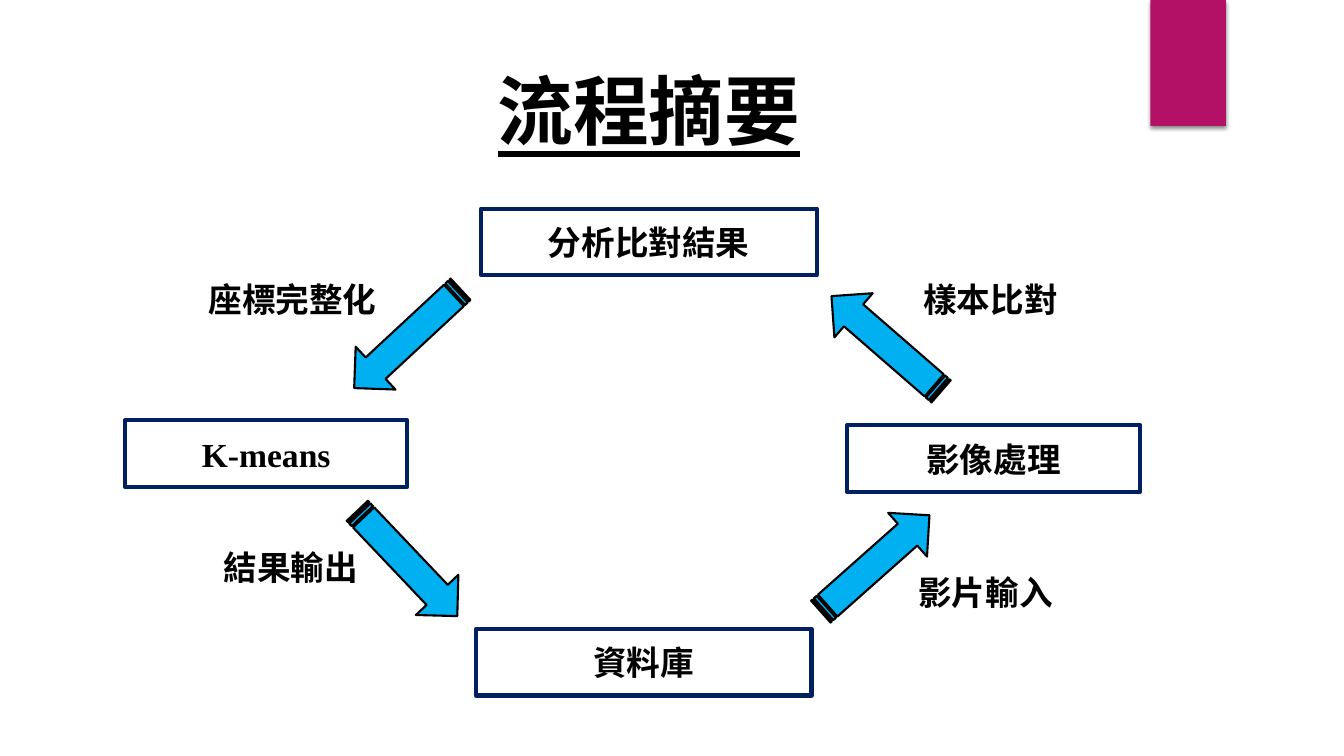
from dataclasses import dataclass

from lxml import etree
from pptx import Presentation
from pptx.dml.color import RGBColor
from pptx.enum.shapes import MSO_SHAPE
from pptx.enum.text import MSO_ANCHOR, PP_ALIGN
from pptx.oxml import parse_xml
from pptx.oxml.ns import nsdecls, qn
from pptx.util import Pt

RECTANGLE = MSO_SHAPE.RECTANGLE
STRIPED_ARROW = MSO_SHAPE.STRIPED_RIGHT_ARROW
MIDDLE = MSO_ANCHOR.MIDDLE
CENTER, LEFT = PP_ALIGN.CENTER, PP_ALIGN.LEFT


@dataclass(frozen=True)
class Theme:
    ribbon: str = "B31166"
    box_fill: str = "FFFFFF"
    box_line: str = "002060"
    arrow_fill: str = "00B0F0"
    ink: str = "000000"
    title_font: str = "TeX Gyre Adventor"
    chinese_font: str = "Noto Sans CJK SC"
    latin_font: str = "Times New Roman"
    title_size: int = 54
    body_size: int = 24
    box_line_width: float = 3
    arrow_line_width: float = 1.5


THEME = Theme()
EMU_PER_PX = 9144
SLIDE_SIZE = (1333, 750)
RIBBON = (1141, 0, 75, 125)
TITLE = ("流程摘要", (433, 58, 421, 101))
BOX_HEIGHT = 66
ARROW_SIZE = (144, 58)
LABEL_HEIGHT = 50

STAGES = [
    ("分析比對結果", 477, 207, 333, THEME.chinese_font),
    ("資料庫", 472, 624, 333, THEME.chinese_font),
    ("影像處理", 840, 422, 291, THEME.chinese_font),
    ("K-means", 124, 417, 280, THEME.latin_font),
]
TRANSITIONS = [
    ("影片輸入", (901, 562, 159), (796, 530), 318.4),
    ("樣本比對", (906, 272, 159), (807, 312), 221),
    ("座標完整化", (197, 272, 190), (332, 307), 137.1),
    ("結果輸出", (212, 538, 159), (332, 530), 46.5),
]


def px(*lengths):
    return [length * EMU_PER_PX for length in lengths]


def add_filled(slide, preset, frame, fill, line=None, line_width=0):
    shape = slide.shapes.add_shape(preset, *px(*frame))
    shape.shadow.inherit = False
    shape.fill.solid()
    shape.fill.fore_color.rgb = RGBColor.from_string(fill)
    if line:
        shape.line.color.rgb = RGBColor.from_string(line)
        shape.line.width = Pt(line_width)
    else:
        shape.line.fill.background()
    return shape


def write(shape, text, font_name, size, alignment, underline=None):
    frame = shape.text_frame
    frame.word_wrap = True
    frame.vertical_anchor = MIDDLE
    frame.text = text
    paragraph = frame.paragraphs[0]
    paragraph.alignment = alignment
    run = paragraph.runs[0]
    font = run.font
    font.name = font_name
    font.size = Pt(size)
    font.bold = True
    font.underline = underline
    font.color.rgb = RGBColor.from_string(THEME.ink)
    east_asian = etree.Element(qn("a:ea"), typeface=font_name)
    run._r.get_or_add_rPr().find(qn("a:latin")).addnext(east_asian)


def add_ribbon(slide):
    ribbon = add_filled(slide, RECTANGLE, RIBBON, THEME.ribbon)
    effects = ribbon._element.spPr.find(qn("a:effectLst"))
    effects.append(parse_xml(
        f'<a:outerShdw {nsdecls("a")} blurRad="{Pt(3)}" dist="{Pt(2)}" dir="5400000" rotWithShape="0">'
        f'<a:srgbClr val="{THEME.ink}"><a:alpha val="45000"/></a:srgbClr></a:outerShdw>'
    ))


def main():
    presentation = Presentation()
    presentation.slide_width, presentation.slide_height = px(*SLIDE_SIZE)
    slide = presentation.slides.add_slide(presentation.slide_layouts[6])

    add_ribbon(slide)
    title_text, title_frame = TITLE
    title = slide.shapes.add_textbox(*px(*title_frame))
    write(title, title_text, THEME.title_font, THEME.title_size, CENTER, underline=True)

    for name, left, top, width, font_name in STAGES:
        box = add_filled(slide, RECTANGLE, (left, top, width, BOX_HEIGHT),
                         THEME.box_fill, THEME.box_line, THEME.box_line_width)
        write(box, name, font_name, THEME.body_size, CENTER)

    for name, label_place, arrow_corner, rotation in TRANSITIONS:
        arrow = add_filled(slide, STRIPED_ARROW, arrow_corner + ARROW_SIZE,
                           THEME.arrow_fill, THEME.ink, THEME.arrow_line_width)
        arrow.rotation = rotation
        label = slide.shapes.add_textbox(*px(*label_place, LABEL_HEIGHT))
        write(label, name, THEME.chinese_font, THEME.body_size, LEFT)

    presentation.save("out.pptx")


if __name__ == "__main__":
    main()
